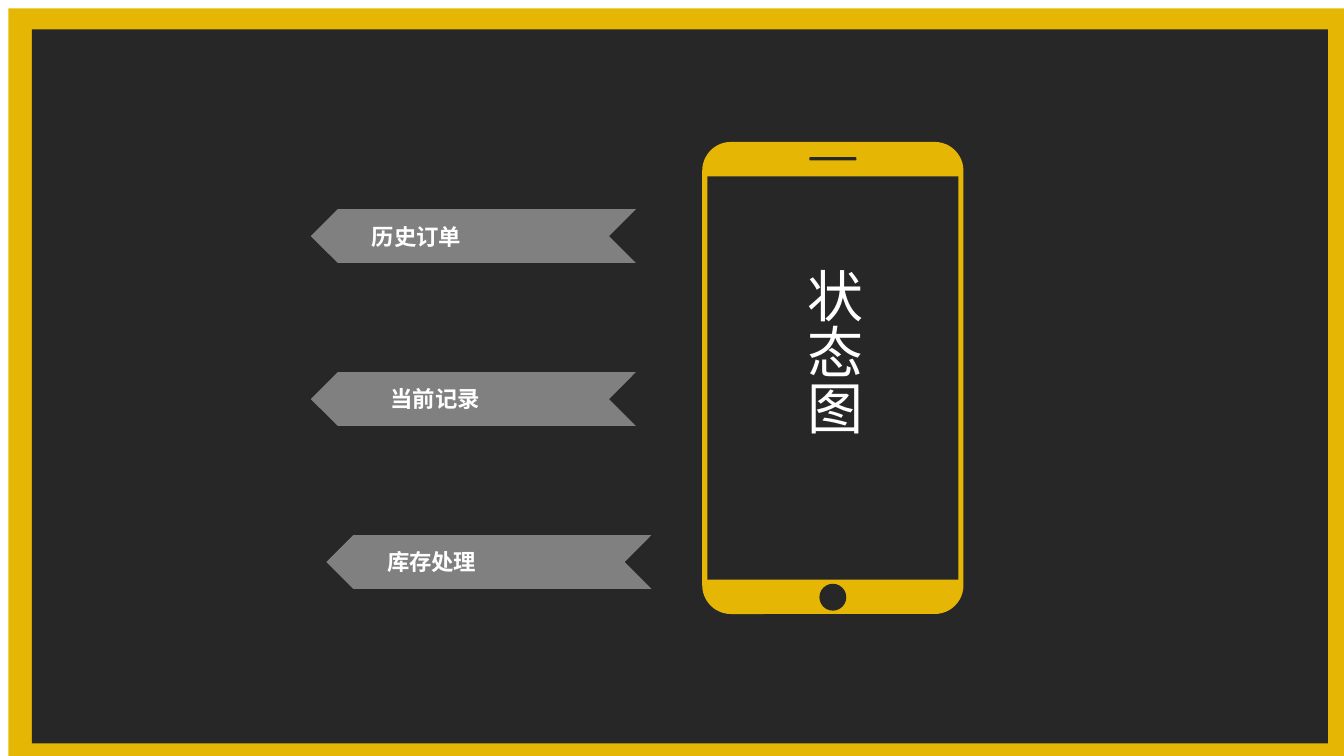
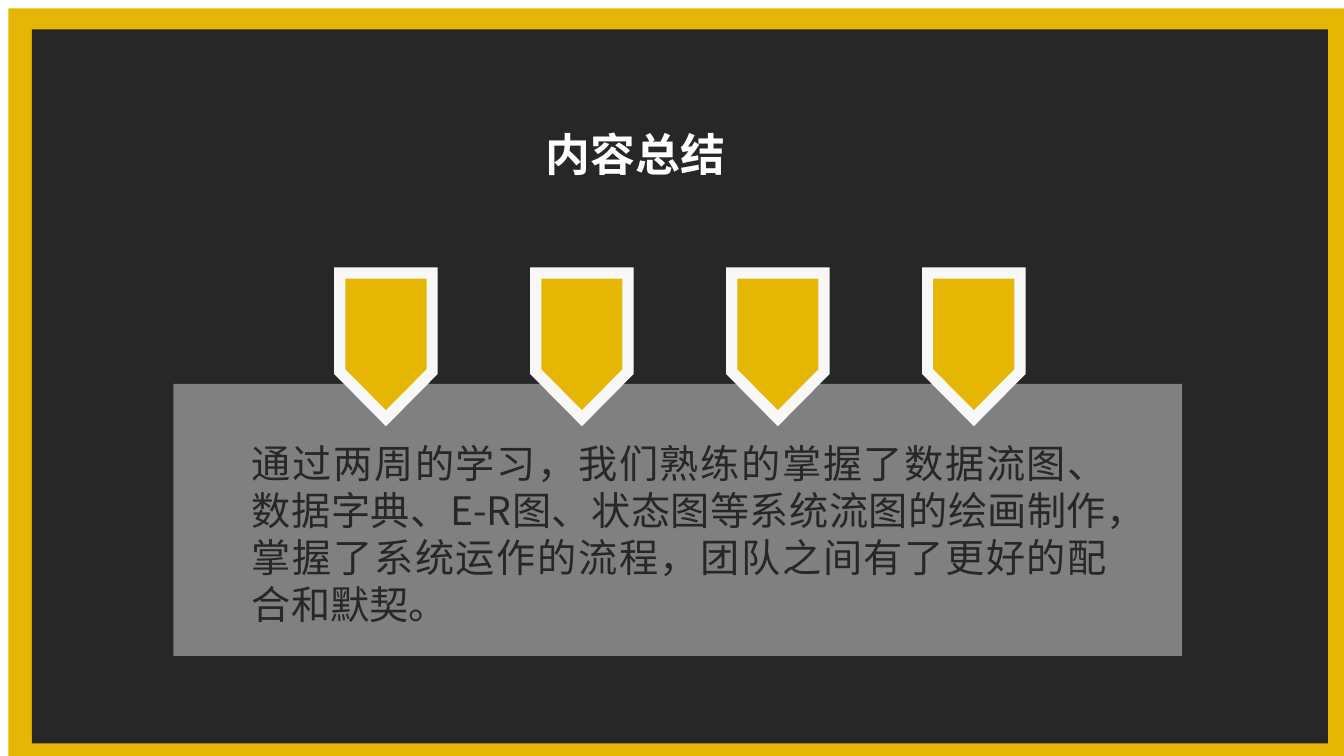
import pptx
import pptx.dml.color
import pptx.enum.shapes
import pptx.enum.text
import pptx.oxml.ns
import pptx.util
from lxml import etree
from typing import NamedTuple

# Grid: 160 columns by 90 rows of square cells
COLS, ROWS = 160, 90
CELL = pptx.util.Inches(7.5) // ROWS

# Palette and fonts
YELLOW, DARK, GREY = "E5B704", "282728", "808080"
WHITE, OFF_WHITE = "FFFFFF", "F8F8F8"
CJK, LATIN = "Noto Sans CJK SC", "Calibri"

MSO = pptx.enum.shapes.MSO_SHAPE
ANCHOR = pptx.enum.text.MSO_ANCHOR
ALIGN = pptx.enum.text.PP_ALIGN


class Box(NamedTuple):
    col: float
    row: float
    width: float
    height: float

    def emu(self) -> list[int]:
        return [cells(v) for v in self]


class Part(NamedTuple):
    kind: int
    box: Box
    color: str
    adjust: float | None = None


class Label(NamedTuple):
    text: str
    ribbon_col: float
    text_col: float


class Style(NamedTuple):
    size: float
    font: str
    color: str
    bold: bool = False


def cells(n: float) -> int:
    return round(n * CELL)


def rgb(color: str) -> pptx.dml.color.RGBColor:
    return pptx.dml.color.RGBColor.from_string(color)


def paint(sp, color: str) -> None:
    sp.shadow.inherit = False
    sp.fill.solid()
    sp.fill.fore_color.rgb = rgb(color)
    sp.line.fill.background()


def draw(slide, part: Part):
    sp = slide.shapes.add_shape(part.kind, *part.box.emu())
    paint(sp, part.color)
    if part.adjust is not None:
        sp.adjustments[0] = part.adjust
    return sp


def write(sp, text: str, style: Style, align=ALIGN.LEFT, anchor=ANCHOR.MIDDLE,
          wrap: bool = False):
    tf = sp.text_frame
    tf.word_wrap = wrap
    tf.auto_size = pptx.enum.text.MSO_AUTO_SIZE.NONE
    tf.vertical_anchor = anchor
    p = tf.paragraphs[0]
    p.alignment = align
    r = p.add_run()
    r.text = text
    r.font.size = pptx.util.Pt(style.size)
    r.font.name = style.font
    r.font.bold = style.bold
    r.font.color.rgb = rgb(style.color)
    ea = etree.SubElement(r.font._element, pptx.oxml.ns.qn("a:ea"))
    ea.set("typeface", CJK)
    return p


def set_title(slide, text: str, box: Box, style: Style, **layout):
    sp = slide.shapes.title
    sp.left, sp.top, sp.width, sp.height = box.emu()
    return write(sp, text, style, **layout)


# Shared frame, drawn once and kept on the master
FRAME = [
    Part(MSO.RECTANGLE, Box(1, 1, COLS - 1, ROWS - 1), YELLOW),
    Part(MSO.RECTANGLE, Box(3.8, 3.5, 154.3, 85), DARK),
]


def move_frame_to_master(prs, slide) -> None:
    tree = prs.slide_master.shapes.element
    for i, part in enumerate(FRAME):
        el = draw(slide, part).element
        el.nvSpPr.cNvPr.set("id", str(100 + i))
        tree.insert(2 + i, el)


# Slide 1: phone and ribbons
PHONE = [
    Part(MSO.ROUNDED_RECTANGLE, Box(83.6, 16.9, 31.1, 56.2), YELLOW, 0.11),
    Part(MSO.RECTANGLE, Box(84.2, 21, 29.9, 48), DARK),
    Part(MSO.ROUNDED_RECTANGLE, Box(96.35, 18.7, 5.6, 0.4), DARK, 0.3),
    Part(MSO.OVAL, Box(97.55, 69.5, 3.2, 3.2), DARK),
]
LABELS = [
    Label("历史订单", 37, 43.1),
    Label("当前记录", 37, 45.3),
    Label("库存处理", 38.85, 44.9),
]
RIBBON_TOP, RIBBON_PITCH, RIBBON_W, RIBBON_H = 24.9, 19.4, 38.7, 6.4


def build_states(slide) -> None:
    for part in PHONE:
        draw(slide, part)
    for i, label in enumerate(LABELS):
        row = RIBBON_TOP + i * RIBBON_PITCH
        ribbon = Box(label.ribbon_col, row, RIBBON_W, RIBBON_H)
        draw(slide, Part(MSO.CHEVRON, ribbon, GREY)).rotation = 180
        sp = slide.shapes.add_textbox(
            *Box(label.text_col, row, 13.2, RIBBON_H).emu())
        write(sp, label.text, Style(16, CJK, WHITE, True))
    # Vertical title on the phone screen
    set_title(slide, "状态图", Box(93.8, 31.3, 10.6, 34.4),
              Style(40, LATIN, WHITE), anchor=ANCHOR.TOP, wrap=True)
    slide.shapes.title.text_frame._txBody.bodyPr.set("vert", "eaVert")
    slide.shapes.title.element.getparent().append(
        slide.shapes.title.element)


# Slide 2: summary panel and pins
PANEL = Box(20.65, 45.7, 120.1, 32.4)
BODY = Box(29.5, 50.4, 102.3, 27.3)
PIN = Box(40.45, 32.5, 11, 17.3)
PIN_COUNT, PIN_PITCH, PIN_SHOULDER = 4, 23.33, 11.75
SUMMARY = ("通过两周的学习，我们熟练的掌握了数据流图、数据字典、E-R图、"
           "状态图等系统流图的绘画制作，掌握了系统运作的流程，"
           "团队之间有了更好的配合和默契。")


def draw_pin(slide, col: float) -> None:
    right, shoulder = col + PIN.width, PIN.row + PIN_SHOULDER
    tip = (col + PIN.width / 2, PIN.row + PIN.height)
    outline = [(right, PIN.row), (right, shoulder), tip, (col, shoulder)]
    fb = slide.shapes.build_freeform(cells(col), cells(PIN.row))
    fb.add_line_segments([(cells(x), cells(y)) for x, y in outline])
    sp = fb.convert_to_shape()
    paint(sp, YELLOW)
    sp.line.color.rgb = rgb(OFF_WHITE)
    sp.line.width = pptx.util.Pt(8)
    miter = etree.SubElement(sp.line._ln, pptx.oxml.ns.qn("a:miter"))
    miter.set("lim", "800000")


def build_summary(slide) -> None:
    set_title(slide, "内容总结", Box(63.8, 14.4, 24, 7.7),
              Style(32, LATIN, WHITE, True))
    draw(slide, Part(MSO.RECTANGLE, PANEL, GREY))
    for i in range(PIN_COUNT):
        draw_pin(slide, PIN.col + i * PIN_PITCH)
    sp = slide.shapes.add_textbox(*BODY.emu())
    p = write(sp, SUMMARY, Style(28, CJK, DARK), ALIGN.JUSTIFY,
              ANCHOR.TOP, True)
    p.line_spacing = pptx.util.Pt(33.6)
    tf = sp.text_frame
    tf.margin_left, tf.margin_top = cells(0.5), cells(1.9)
    tf.margin_right = tf.margin_bottom = 0


def main() -> None:
    prs = pptx.Presentation()
    prs.slide_width, prs.slide_height = COLS * CELL, ROWS * CELL
    layout = prs.slide_layouts.get_by_name("Title Only")
    builders = [build_states, build_summary]
    slides = [prs.slides.add_slide(layout) for _ in builders]
    move_frame_to_master(prs, slides[0])
    for build, slide in zip(builders, slides):
        build(slide)
    prs.save("out.pptx")


if __name__ == "__main__":
    main()
